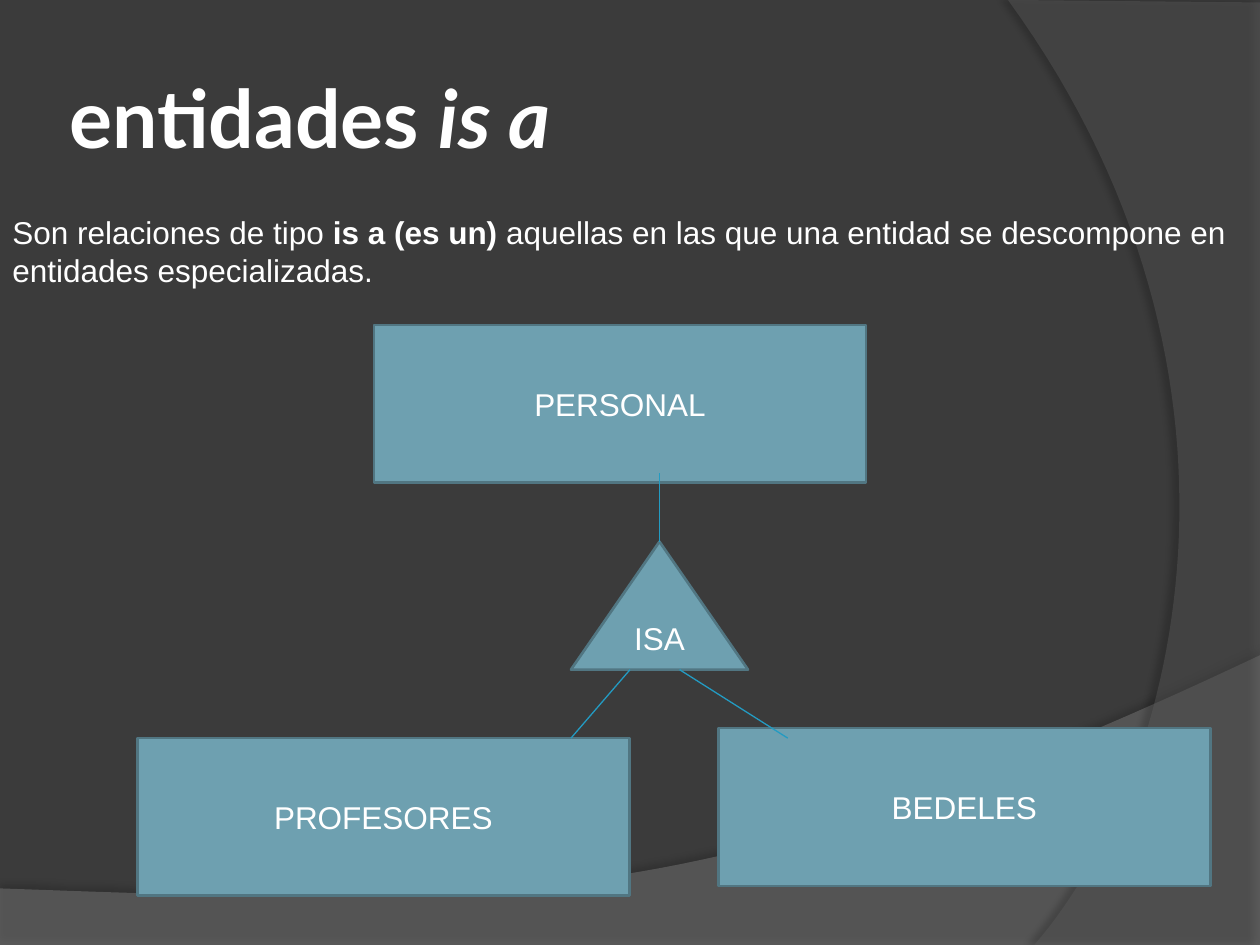
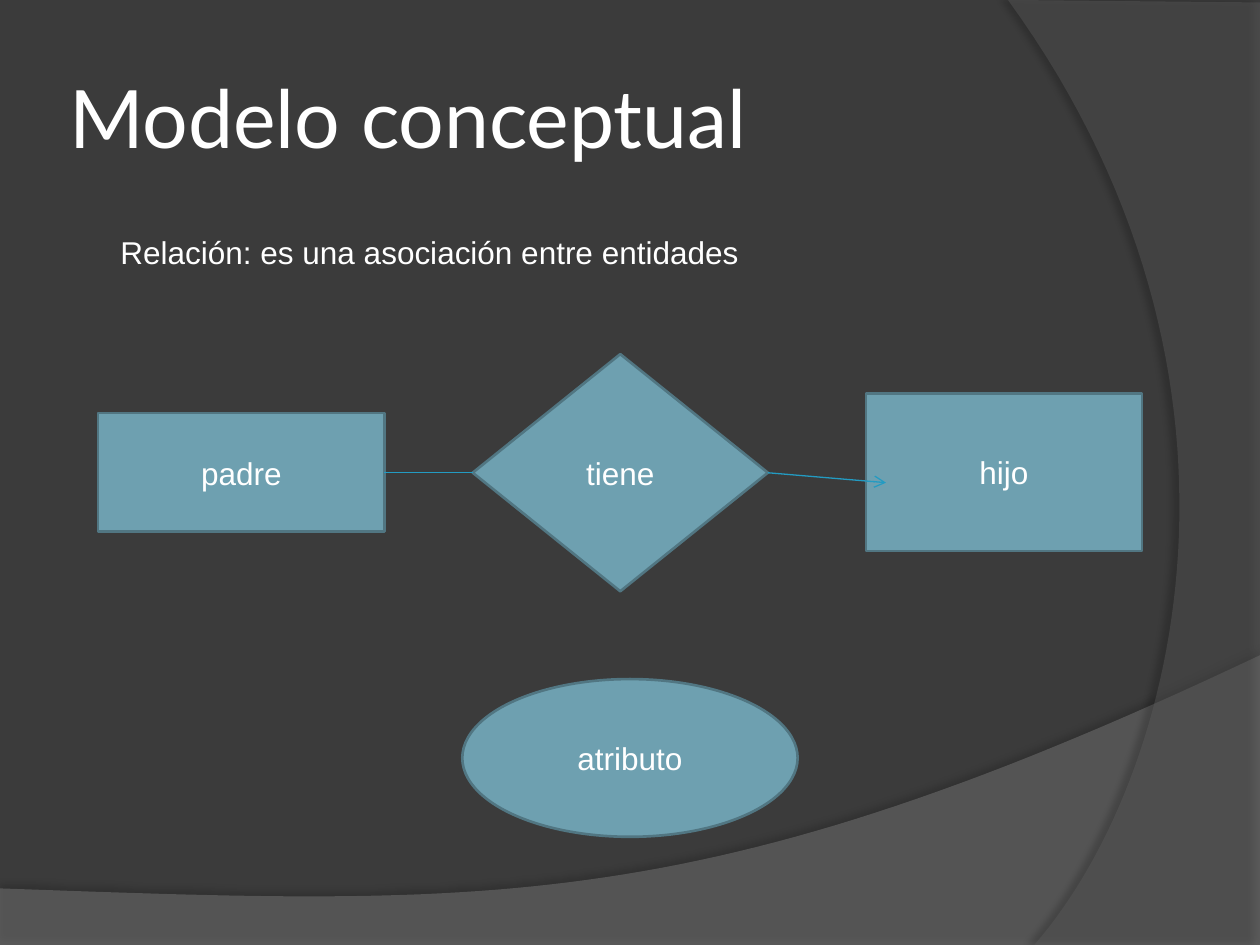
import pptx
import pptx.util
import pptx.dml.color
import pptx.enum.shapes
import pptx.enum.text
import pptx.oxml
import pptx.oxml.ns

Cm, Pt = pptx.util.Cm, pptx.util.Pt
RGBColor = pptx.dml.color.RGBColor
SHAPE = pptx.enum.shapes.MSO_SHAPE
ANCHOR = pptx.enum.text.MSO_ANCHOR
ALIGN = pptx.enum.text.PP_ALIGN
qn = pptx.oxml.ns.qn

# Shared look
BACKGROUND = RGBColor(0x3B, 0x3B, 0x3B)
FLOOR_GRAY = RGBColor(0x7F, 0x7F, 0x7F)
SIDE_GRAY = RGBColor(0x5E, 0x5E, 0x5E)
WHITE = RGBColor(0xFF, 0xFF, 0xFF)
NODE_FILL = RGBColor(0x6E, 0xA0, 0xB0)
NODE_LINE = RGBColor(0x51, 0x76, 0x82)
LINK_BLUE = RGBColor(0x23, 0x9B, 0xC2)
TITLE_FONT, BODY_FONT = "Lato", "Arial"
TITLE_SIZE, BODY_SIZE = 46, 18
WIDTH, HEIGHT = 25.4, 19.05
TITLE_BOX = (1.27, 0.76, 20.75, 3.18)
CURVE_STEPS = 60

# Background bands: straight corners, then one Bezier curve from the last corner
BANDS = [
    {"corners": [(0, 17.91), (0, HEIGHT), (WIDTH, HEIGHT), (WIDTH, 13.21)],
     "curve": [(14.2, 18.52), (9.93, 18.26), (0, 17.91)],
     "color": FLOOR_GRAY, "opacity": 45,
     "shadow": {"opacity": 35, "distance": 3.5, "angle": 270}},
    {"corners": [(WIDTH, 0.05), (WIDTH, HEIGHT), (20.85, HEIGHT)],
     "curve": [(23.75, 15.72), (25.86, 7.62), (20.32, 0)],
     "color": SIDE_GRAY, "opacity": 40,
     "shadow": {"opacity": 45, "distance": 4, "angle": 180}},
]

# Content: runs are (text, style); boxes are left, top, width, height in cm
ENTITY = (9.92, 3.18)
SLIDES = [
    {"title": [("entidades ", "b"), ("is a", "bi")],
     "text": [("Son relaciones de tipo ", ""), ("is a (es un) ", "b"),
              ("aquellas en las que una entidad se descompone en "
               "entidades especializadas.", "")],
     "text_box": (0, 4.17, WIDTH, 1.8), "wrap": True,
     "nodes": [("PERSONAL", SHAPE.RECTANGLE, (7.54, 6.55, *ENTITY)),
               ("BEDELES", SHAPE.RECTANGLE, (14.48, 14.68, *ENTITY)),
               ("PROFESORES", SHAPE.RECTANGLE, (2.77, 14.88, *ENTITY)),
               ("ISA", SHAPE.ISOSCELES_TRIANGLE, (11.51, 10.92, 3.57, 2.58))],
     "links": [((13.3, 10.92), (13.3, 9.53), False),
               ((11.51, 14.88), (12.7, 13.5), False),
               ((15.88, 14.88), (13.7, 13.5), False)]},
    {"title": [("Modelo conceptual", "")],
     "text": [("Relación: es una asociación entre entidades", "")],
     "text_box": (2.18, 4.57, 13.08, 1.02), "wrap": False,
     "nodes": [("padre", SHAPE.RECTANGLE, (1.98, 8.33, 5.77, 2.39)),
               ("hijo", SHAPE.RECTANGLE, (17.46, 7.93, 5.56, 3.18)),
               ("tiene", SHAPE.FLOWCHART_DECISION, (9.53, 7.14, 5.95, 4.78)),
               ("atributo", SHAPE.OVAL, (9.32, 13.69, 6.76, 3.18))],
     "links": [((7.75, 9.53), (9.53, 9.53), False),
               ((15.48, 9.53), (17.86, 9.73), True)]},
]


def lengths(values):
    return [Cm(value) for value in values]


def add_element(parent, tag, **attributes):
    element = pptx.oxml.parse_xml(f"<{tag} {pptx.oxml.ns.nsdecls('a')}/>")
    for name, value in attributes.items():
        element.set(name, str(value))
    parent.append(element)
    return element


def bezier(start, first, second, end):
    for step in range(1, CURVE_STEPS + 1):
        t = step / CURVE_STEPS
        weights = ((1 - t) ** 3, 3 * t * (1 - t) ** 2, 3 * t * t * (1 - t), t ** 3)
        yield tuple(sum(weight * point[axis] for weight, point
                        in zip(weights, (start, first, second, end)))
                    for axis in (0, 1))


def add_band(slide, band):
    corners = band["corners"]
    points = corners + list(bezier(corners[-1], *band["curve"]))
    builder = slide.shapes.build_freeform(*lengths(points[0]))
    builder.add_line_segments([lengths(point) for point in points[1:]], close=True)
    shape = builder.convert_to_shape()
    shape.line.fill.background()
    shape.fill.solid()
    shape.fill.fore_color.rgb = band["color"]
    properties = shape._element.spPr
    add_element(properties.find(qn("a:solidFill"))[0], "a:alpha",
                val=band["opacity"] * 1000)
    # Soft shadow along the curved edge
    shape.shadow.inherit = False
    shadow = band["shadow"]
    outer = add_element(properties.find(qn("a:effectLst")), "a:outerShdw",
                        blurRad=Pt(4), dist=Pt(shadow["distance"]),
                        dir=shadow["angle"] * 60000, rotWithShape=0)
    black = add_element(outer, "a:srgbClr", val="000000")
    add_element(black, "a:alpha", val=shadow["opacity"] * 1000)


def format_run(run, font_name, size, style=""):
    run.font.name = font_name
    run.font.size = Pt(size)
    run.font.color.rgb = WHITE
    run.font.bold = "b" in style
    run.font.italic = "i" in style


def add_text(slide, box, runs, font_name, size, wrap=True):
    frame = slide.shapes.add_textbox(*lengths(box)).text_frame
    frame.word_wrap = wrap
    for text, style in runs:
        run = frame.paragraphs[0].add_run()
        run.text = text
        format_run(run, font_name, size, style)
    return frame


def add_title(slide, runs):
    frame = add_text(slide, TITLE_BOX, runs, TITLE_FONT, TITLE_SIZE)
    frame.vertical_anchor = ANCHOR.MIDDLE
    frame.margin_left = frame.margin_right = Cm(0.13)


def add_node(slide, label, kind, box):
    shape = slide.shapes.add_shape(kind, *lengths(box))
    shape.shadow.inherit = False
    shape.fill.solid()
    shape.fill.fore_color.rgb = NODE_FILL
    shape.line.color.rgb = NODE_LINE
    shape.line.width = Pt(1.5)
    frame = shape.text_frame
    frame.text = label
    frame.vertical_anchor = ANCHOR.MIDDLE
    frame.paragraphs[0].alignment = ALIGN.CENTER
    format_run(frame.paragraphs[0].runs[0], BODY_FONT, BODY_SIZE)


def add_link(slide, start, end, arrow):
    connector = slide.shapes.add_connector(
        pptx.enum.shapes.MSO_CONNECTOR.STRAIGHT, *lengths(start + end))
    connector.line.color.rgb = LINK_BLUE
    connector.line.width = Pt(0.75)
    properties = connector._element.spPr
    if arrow:
        add_element(properties.find(qn("a:ln")), "a:tailEnd", type="arrow")
    add_element(properties, "a:effectLst")


def main():
    presentation = pptx.Presentation()
    presentation.slide_width, presentation.slide_height = Cm(WIDTH), Cm(HEIGHT)
    master_fill = presentation.slide_master.background.fill
    master_fill.solid()
    master_fill.fore_color.rgb = BACKGROUND

    for content in SLIDES:
        slide = presentation.slides.add_slide(presentation.slide_layouts[6])
        for band in BANDS:
            add_band(slide, band)
        add_title(slide, content["title"])
        add_text(slide, content["text_box"], content["text"],
                 BODY_FONT, BODY_SIZE, content["wrap"])
        for node in content["nodes"]:
            add_node(slide, *node)
        for link in content["links"]:
            add_link(slide, *link)

    presentation.save("out.pptx")


if __name__ == "__main__":
    main()
